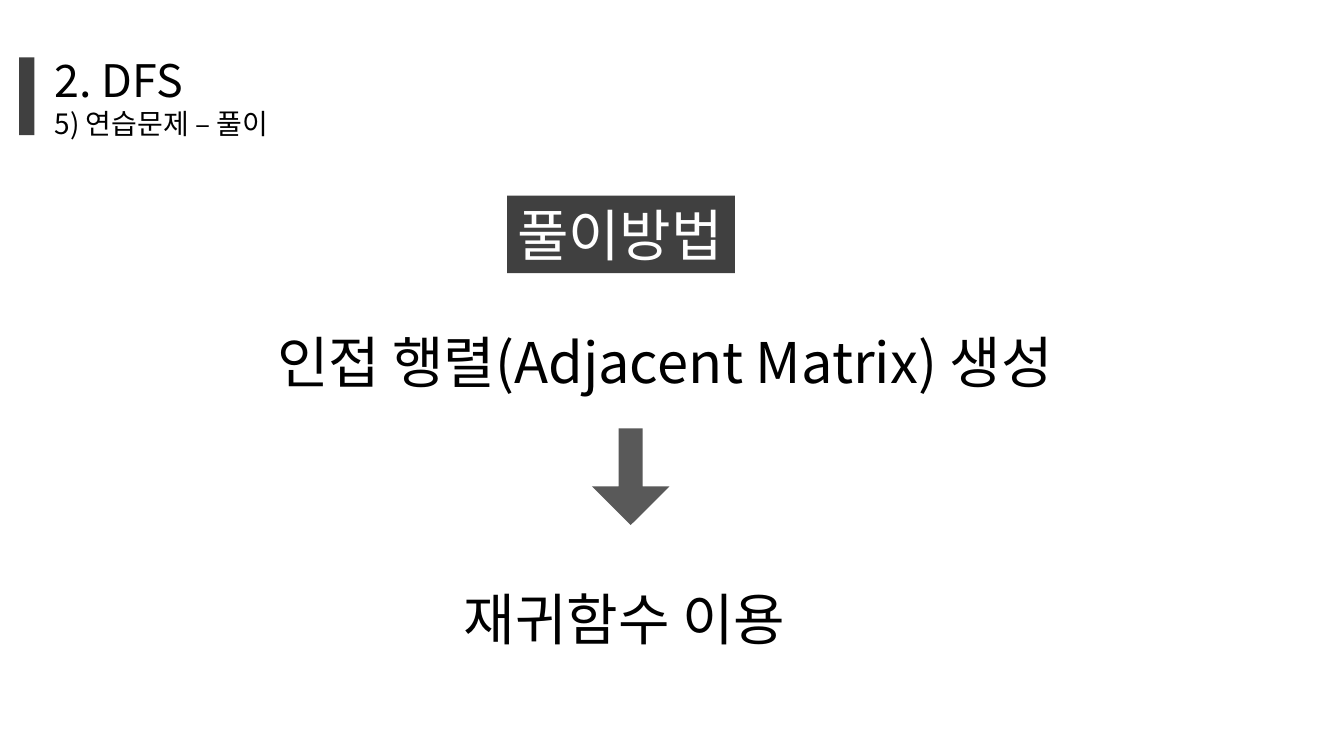
from dataclasses import dataclass

from lxml import etree
from pptx import Presentation
from pptx.dml.color import RGBColor
from pptx.enum.shapes import MSO_SHAPE
from pptx.enum.text import MSO_ANCHOR, MSO_AUTO_SIZE, PP_ALIGN
from pptx.oxml.ns import qn
from pptx.util import Inches, Pt

RECTANGLE = MSO_SHAPE.RECTANGLE
DOWN_ARROW = MSO_SHAPE.DOWN_ARROW
TOP = MSO_ANCHOR.TOP
FIXED_SIZE = MSO_AUTO_SIZE.NONE
LEFT = PP_ALIGN.LEFT
TITLE_ONLY = 5


@dataclass(frozen=True)
class Theme:
    """Colours, font and type sizes of the slide."""

    font: str = "Noto Sans CJK KR"
    ink: str = "000000"
    paper: str = "FFFFFF"
    dark: str = "404040"
    arrow: str = "595959"
    heading: int = 32
    subheading: int = 20
    body: int = 40


THEME = Theme()
WIDTH, HEIGHT = 13.33, 7.5
LINE_HEIGHT = 0.77


def place(shape, left, top, width, height):
    """Set the position and size of a shape in inches."""
    shape.left, shape.top = Inches(left), Inches(top)
    shape.width, shape.height = Inches(width), Inches(height)


def write(shape, *lines, sizes, color=THEME.ink, wrap=False):
    """Fill a shape with left-aligned lines, one paragraph and size each."""
    frame = shape.text_frame
    frame.auto_size = FIXED_SIZE
    frame.word_wrap = wrap
    frame.vertical_anchor = TOP
    frame.text = "\n".join(lines)
    for para, size in zip(frame.paragraphs, sizes):
        para.alignment = LEFT
        for span in para.runs:
            span.font.size = Pt(size)
            span.font.color.rgb = RGBColor.from_string(color)
            span.font.name = THEME.font
            east_asian = etree.SubElement(span.font._element, qn("a:ea"))
            east_asian.set("typeface", THEME.font)


def add_block(page, kind, left, top, width, height, fill):
    """Add a flat preset shape without outline or shadow."""
    block = page.shapes.add_shape(kind, 0, 0, 0, 0)
    place(block, left, top, width, height)
    block.shadow.inherit = False
    block.fill.solid()
    block.fill.fore_color.rgb = RGBColor.from_string(fill)
    block.line.fill.background()
    return block


def add_step(page, text, left, top, width, wrap=False):
    """Add one step of the solution as a text box."""
    box = page.shapes.add_textbox(0, 0, 0, 0)
    place(box, left, top, width, LINE_HEIGHT)
    write(box, text, sizes=[THEME.body], wrap=wrap)


def main():
    """Build the slide and save the deck."""
    deck = Presentation()
    deck.slide_width, deck.slide_height = Inches(WIDTH), Inches(HEIGHT)
    page = deck.slides.add_slide(deck.slide_layouts[TITLE_ONLY])

    add_block(page, RECTANGLE, 0.19, 0.57, 0.15, LINE_HEIGHT, THEME.dark)
    title = page.shapes.title
    place(title, 0.44, 0.47, 5.52, 0.98)
    write(title, "2. DFS", "5) 연습문제 – 풀이",
          sizes=[THEME.heading, THEME.subheading], wrap=True)

    label = add_block(page, RECTANGLE, 5.03, 1.94, 2.26, LINE_HEIGHT, THEME.dark)
    write(label, "풀이방법", sizes=[THEME.body], color=THEME.paper)

    add_step(page, "인접 행렬(Adjacent Matrix) 생성", 2.65, 3.2, 7.97, wrap=True)
    add_step(page, "재귀함수 이용", 4.5, 5.75, 3.49)

    arrow = add_block(page, DOWN_ARROW, 5.87, 4.25, 0.77, 0.96, THEME.arrow)
    arrow.adjustments[0] = 0.31
    arrow.adjustments[1] = 0.5

    deck.save("out.pptx")


if __name__ == "__main__":
    main()
